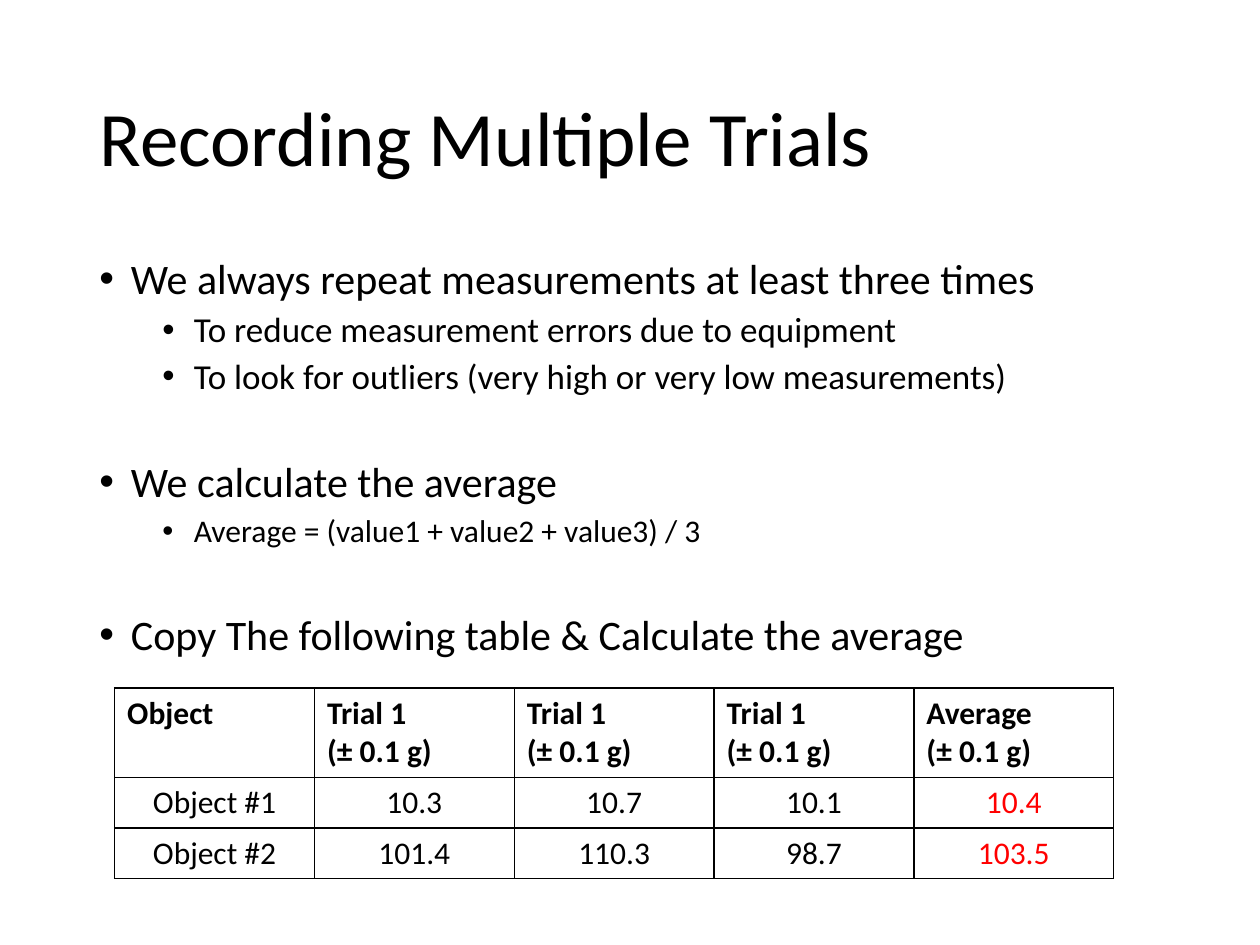
from lxml.etree import SubElement
from pptx import Presentation
from pptx.dml.color import RGBColor
from pptx.enum.text import MSO_ANCHOR, MSO_AUTO_SIZE, PP_ALIGN
from pptx.oxml.ns import qn
from pptx.util import Inches, Pt

FONT = "Calibri"
BLACK, RED, WHITE = "000000", "FF0000", "FFFFFF"
SECTION_GAP = 37
POINTS = [
    (0, 24, 0, "We always repeat measurements at least three times"),
    (1, 20, 5, "To reduce measurement errors due to equipment"),
    (1, 20, 5, "To look for outliers (very high or very low measurements)"),
    (0, 24, SECTION_GAP, "We calculate the average"),
    (1, 18, 5, "Average = (value1 + value2 + value3) / 3"),
    (0, 24, SECTION_GAP, "Copy The following table & Calculate the average"),
]
UNCERTAINTY = "(± 0.1 g)"
TRIALS = [
    ["Object"] + [f"{name}\n{UNCERTAINTY}" for name in ["Trial 1"] * 3 + ["Average"]],
    ["Object #1", "10.3", "10.7", "10.1", "10.4"],
    ["Object #2", "101.4", "110.3", "98.7", "103.5"],
]


def color(value):
    return RGBColor.from_string(value)


def style_font(font, size, value=BLACK, bold=False):
    font.name = FONT
    font.size = Pt(size)
    font.bold = bold
    font.color.rgb = color(value)


def place(shape, box):
    shape.left, shape.top, shape.width, shape.height = map(Inches, box)


def add_title(slide, box, text):
    title = slide.shapes.title
    place(title, box)
    frame = title.text_frame
    frame.text = text
    frame.auto_size = MSO_AUTO_SIZE.NONE
    frame.vertical_anchor = MSO_ANCHOR.MIDDLE
    heading = frame.paragraphs[0]
    heading.alignment = PP_ALIGN.LEFT
    heading.line_spacing = 0.9
    style_font(heading.runs[0].font, 44)


def add_bullet(paragraph, level):
    properties = paragraph._p.get_or_add_pPr()
    properties.set("marL", str(Inches(0.25 + 0.5 * level)))
    properties.set("indent", str(Inches(-0.25)))
    SubElement(properties, qn("a:buFont"), typeface="Arial")
    SubElement(properties, qn("a:buChar"), char="•")


def add_points(slide, box, points):
    frame = slide.shapes.add_textbox(*map(Inches, box)).text_frame
    frame.word_wrap = True
    frame.text = "\n".join(text for *_, text in points)
    for paragraph, (level, size, before, _) in zip(frame.paragraphs, points):
        add_bullet(paragraph, level)
        paragraph.level = level
        paragraph.line_spacing = 0.9
        paragraph.space_before = Pt(before)
        style_font(paragraph.runs[0].font, size)


def add_borders(cell):
    properties = cell._tc.get_or_add_tcPr()
    for side in ("a:lnL", "a:lnR", "a:lnT", "a:lnB"):
        line = SubElement(properties, qn(side), w=str(Pt(1)))
        fill = SubElement(line, qn("a:solidFill"))
        SubElement(fill, qn("a:srgbClr"), val=BLACK)


def add_trials(slide, box, rows):
    left, top, width, height = box
    columns = len(rows[0])
    table = slide.shapes.add_table(len(rows), columns, *map(Inches, box)).table
    table.first_row = table.horz_banding = False
    for column in table.columns:
        column.width = Inches(width / columns)
    value_height = 0.4
    header_height = height - value_height * (len(rows) - 1)
    for r, row in enumerate(rows):
        header = r == 0
        table.rows[r].height = Inches(header_height if header else value_height)
        for c, text in enumerate(row):
            cell = table.cell(r, c)
            cell.text = text
            add_borders(cell)
            cell.fill.solid()
            cell.fill.fore_color.rgb = color(WHITE)
            cell.vertical_anchor = MSO_ANCHOR.TOP if header else MSO_ANCHOR.MIDDLE
            average = not header and c == columns - 1
            for paragraph in cell.text_frame.paragraphs:
                paragraph.alignment = PP_ALIGN.LEFT if header else PP_ALIGN.CENTER
                style_font(paragraph.runs[0].font, 18, RED if average else BLACK, header)


def main():
    deck = Presentation()
    deck.slide_width, deck.slide_height = Inches(10), Inches(7.5)
    slide = deck.slides.add_slide(deck.slide_layouts[5])
    add_title(slide, (0.69, 0.4, 8.62, 1.45), "Recording Multiple Trials")
    add_points(slide, (0.69, 2, 8.62, 4.76), POINTS)
    add_trials(slide, (0.91, 5.46, 7.93, 1.51), TRIALS)
    deck.save("out.pptx")


if __name__ == "__main__":
    main()
